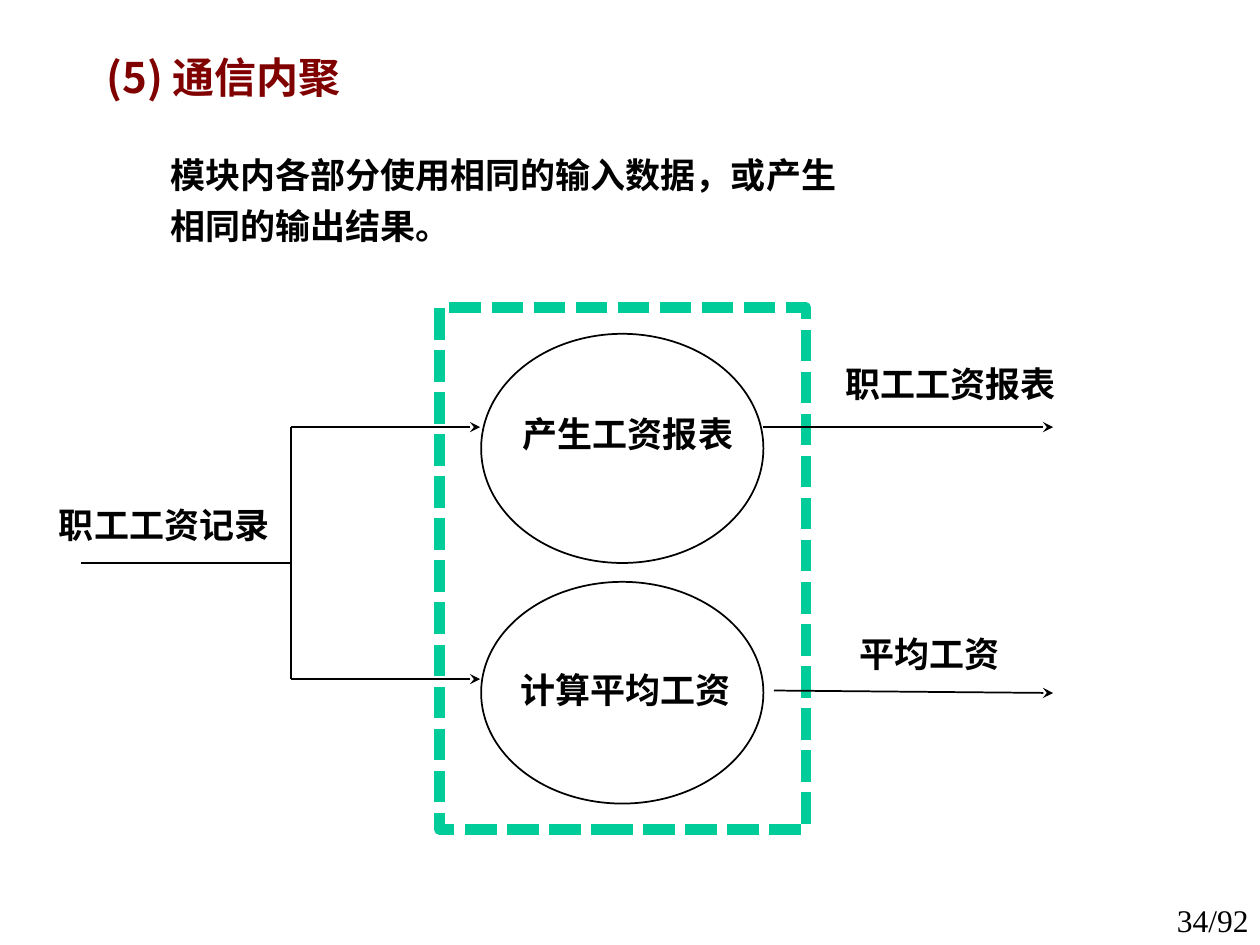
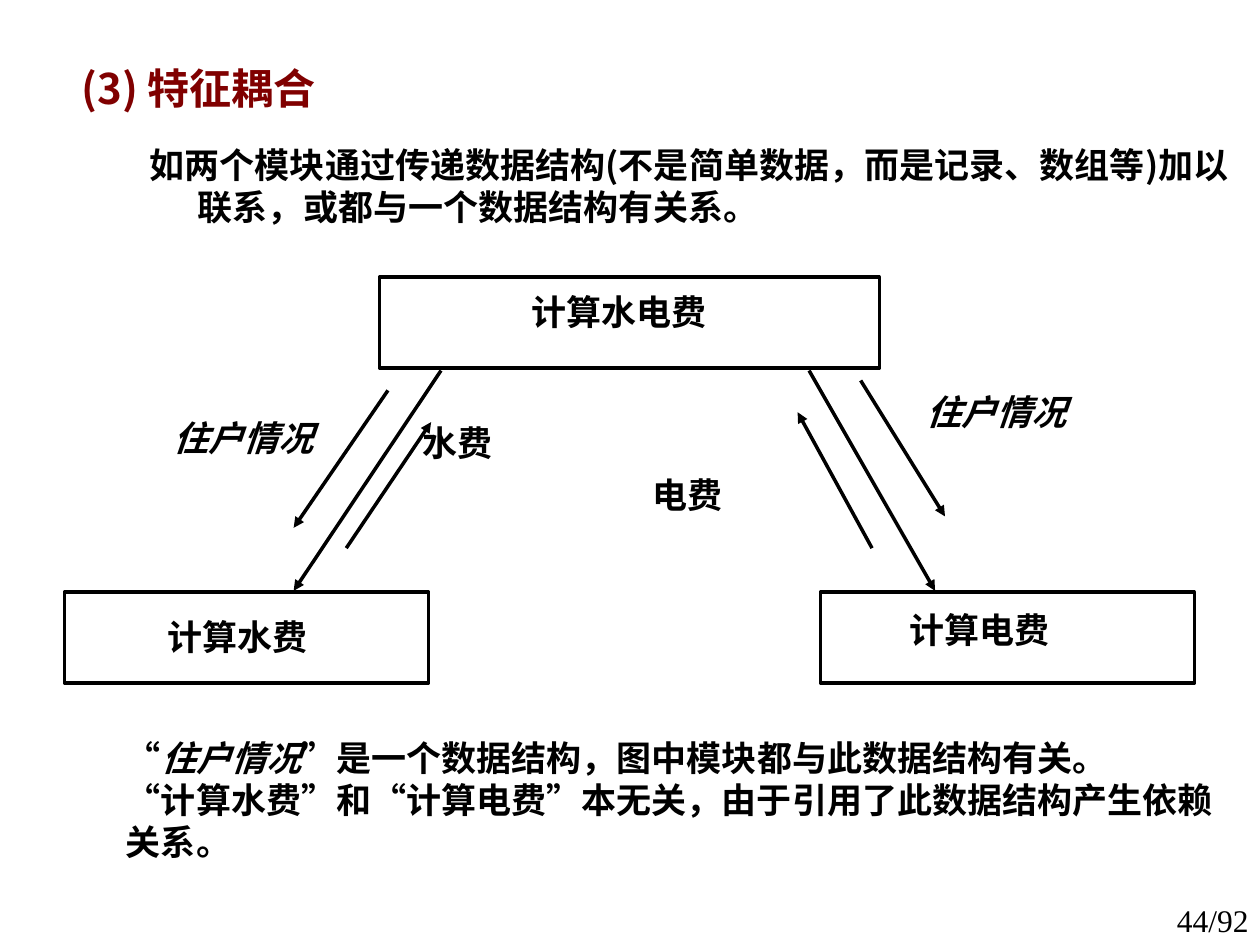
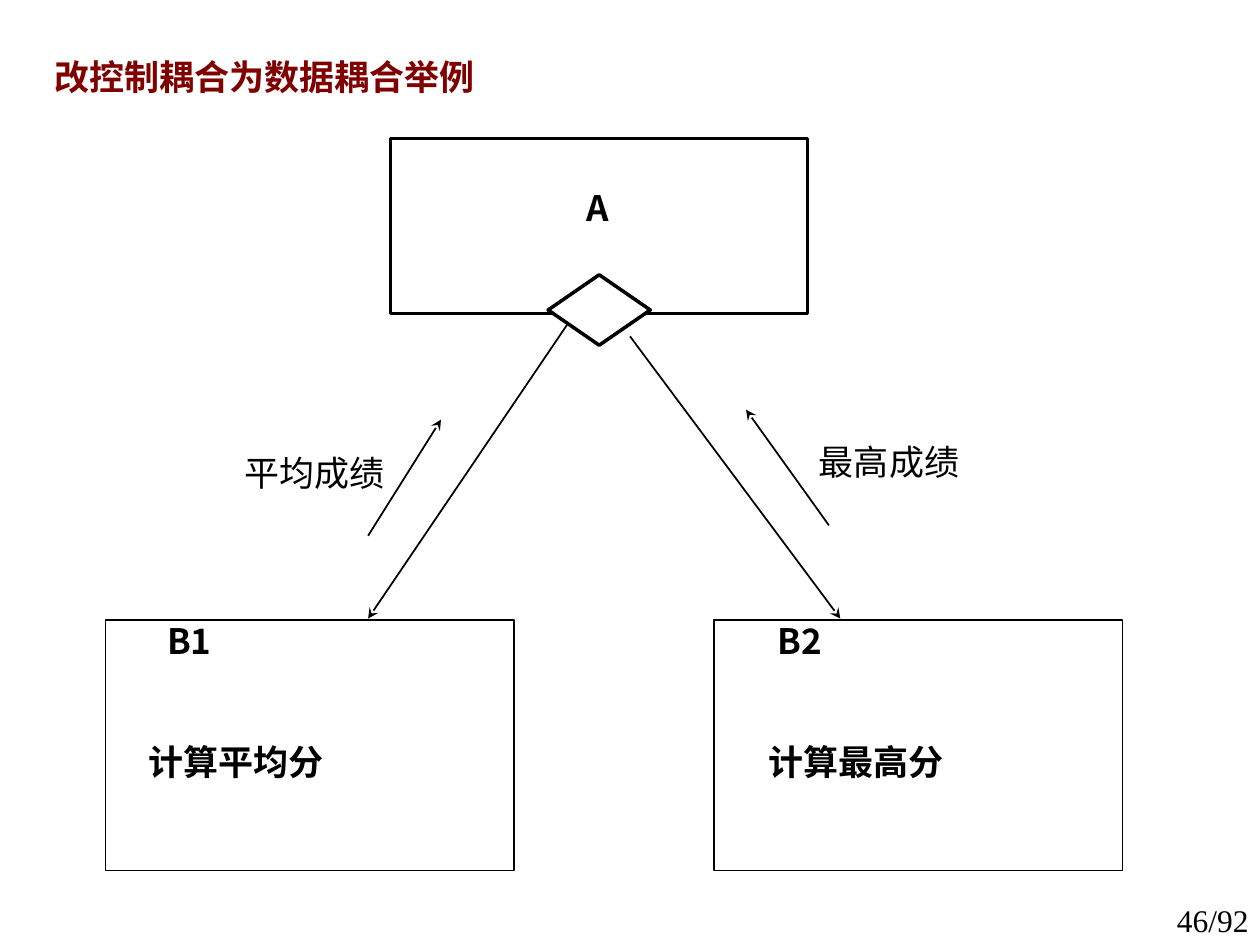
import pptx
import pptx.util
import pptx.dml.color
import pptx.enum.dml
import pptx.enum.shapes
import pptx.enum.text
from lxml import etree

Cm, Pt = pptx.util.Cm, pptx.util.Pt
KIND = pptx.enum.shapes.MSO_SHAPE
ALIGN = pptx.enum.text.PP_ALIGN
ANCHOR = pptx.enum.text.MSO_ANCHOR

# Shared look
INK = {"title": "800000", "text": "000000", "line": "000000",
       "fill": "FFFFFF", "frame": "00CC99"}
SANS, SERIF = "Noto Sans CJK SC", "Times New Roman"
SIZE = 20
LEAD = 1.2          # line height over text size
TALL = 1.09         # height of a label
HANG = 0.97
PAGE = (22.63, 18.03, 2.79, 1.78)
TOTAL = 92

# Content: places in cm; text is a list of paragraphs, each a list of
# (words, style) runs, where b is bold and i is italic
SLIDES = [
    {
        "page": 34,
        "title": ("(5) 通信内聚", 24, (1.9, 0.15, 17.15, 2.79)),
        "body": ((3.18, 2.97, 18.06, 2.62), [
            [("模块内各部分使用相同的输入数据，或产生", "b")],
            [("相同的输出结果。", "b")]]),
        "frame": (8.86, 6.2, 7.39, 10.52),
        "shapes": [
            (KIND.OVAL, 1, (9.7, 6.73, 5.69, 4.62)),
            (KIND.OVAL, 1, (9.7, 11.73, 5.69, 4.47))],
        "lines": (1, [
            (5.87, 8.61, 9.68, 8.61, "stealth"),
            (5.87, 13.69, 9.68, 13.69, "stealth"),
            (1.63, 11.35, 5.87, 11.35, None),
            (15.39, 8.61, 21.23, 8.61, "stealth"),
            (15.6, 13.92, 21.23, 13.97, "stealth"),
            (5.87, 8.61, 5.87, 13.69, None)]),
        "labels": [
            ("产生工资报表", "b", 10.29, 8.2, 4.9),
            ("计算平均工资", "b", 10.24, 13.36, 4.83),
            ("职工工资记录", "b", 0.94, 10.03, 5.11),
            ("职工工资报表", "b", 16.79, 7.19, 5.66),
            ("平均工资", "b", 17.07, 12.62, 4.62)],
    },
    {
        "page": 44,
        "title": ("(3) 特征耦合", 24, (1.4, 0.58, 25.2, 2.39)),
        "body": ((2.77, 2.77, 22.63, 2.18), [
            [("如两个模块通过传递数据结构(不是简单数据，而是记录、数组等)"
              "加以联系，或都与一个数据结构有关系。", "b")]]),
        "shapes": [
            (KIND.RECTANGLE, 2, (7.65, 5.59, 10.08, 1.83)),
            (KIND.RECTANGLE, 2, (1.3, 11.94, 7.34, 1.83)),
            (KIND.RECTANGLE, 2, (16.54, 11.94, 7.54, 1.83))],
        "lines": (2, [
            (8.89, 7.47, 5.92, 11.91, "triangle"),
            (16.31, 7.47, 18.85, 11.91, "triangle"),
            (7.82, 7.87, 5.92, 10.64, "triangle"),
            (6.98, 11.05, 8.69, 8.51, "triangle"),
            (17.35, 7.67, 19.05, 10.41, "triangle"),
            (17.58, 11.05, 16.08, 8.31, "triangle")]),
        "labels": [
            ("计算水电费", "b", 10.46, 5.74, 4.04),
            ("计算水费", "b", 3.12, 12.29, 3.35),
            ("计算电费", "b", 18.08, 12.14, 3.35),
            ("住户情况", "bi", 3.25, 8.28, 7.82),
            ("水费", "b", 8.26, 8.38, 4.45),
            ("电费", "b", 12.9, 9.42, 4.45),
            ("住户情况", "bi", 18.42, 7.75, 6.78)],
        "note": ((2.29, 14.73, 22.89, 2.79), [
            [("“", "b"), ("住户情况", "bi"),
             ("”是一个数据结构，图中模块都与此数据结构有关。", "b")],
            [("“计算水费”和“计算电费”本无关，"
              "由于引用了此数据结构产生依赖关系。", "b")]]),
    },
    {
        "page": 46,
        "title": ("改控制耦合为数据耦合举例", 20, (0.84, 0.15, 23.06, 2.79)),
        "shapes": [
            (KIND.RECTANGLE, 2, (7.87, 2.79, 8.41, 3.53)),
            (KIND.DIAMOND, 2, (11.05, 5.54, 2.06, 1.42)),
            (KIND.RECTANGLE, 1, (2.13, 12.5, 8.23, 5.05)),
            (KIND.RECTANGLE, 1, (14.4, 12.5, 8.23, 5.05))],
        "lines": (1, [
            (11.43, 6.55, 7.42, 12.47, "stealth"),
            (7.42, 10.8, 8.89, 8.46, "stealth"),
            (16.71, 10.59, 15.04, 8.26, "stealth"),
            (12.7, 6.78, 16.94, 12.47, "stealth")]),
        "labels": [
            ("A", "b", 11.58, 3.63, 0.94),
            ("计算平均分", "b", 2.74, 14.81, 7.82),
            ("B1", "b", 3.12, 12.37, 2.79),
            ("平均成绩", "", 4.67, 8.97, 3.35),
            ("最高成绩", "", 16.26, 8.76, 7.24),
            ("计算最高分", "b", 15.24, 14.81, 7.44),
            ("B2", "b", 15.42, 12.37, 2.79)],
    },
]


def tint(name):
    return pptx.dml.color.RGBColor.from_string(INK[name])


def tag(owner, name, **attrs):
    return etree.SubElement(owner, pptx.oxml.ns.qn("a:" + name), **attrs)


def add_text(slide, place, paras, size=SIZE, ink="text", face=SANS,
             wrap=True, hang=False, gap=0, align=ALIGN.LEFT,
             anchor=ANCHOR.TOP):
    frame = slide.shapes.add_textbox(*map(Cm, place)).text_frame
    frame.word_wrap = wrap
    frame.vertical_anchor = anchor
    for num, runs in enumerate(paras):
        para = frame.add_paragraph() if num else frame.paragraphs[0]
        para.alignment = align
        if face == SANS:
            para.line_spacing = Pt(size * LEAD)
        if num and gap:
            para.space_before = Pt(gap)
        if hang:
            props = para._p.get_or_add_pPr()
            props.set("marL", str(Cm(HANG)))
            props.set("indent", str(-Cm(HANG)))
        for words, style in runs:
            run = para.add_run()
            run.text = words
            font = run.font
            font.size, font.name = Pt(size), face
            font.bold, font.italic = "b" in style, "i" in style
            font.color.rgb = tint(ink)
            tag(run._r.get_or_add_rPr(), "ea", typeface=face)


def add_shape(slide, kind, width, place, ink="line", fill=True):
    shape = slide.shapes.add_shape(kind, *map(Cm, place))
    shape.shadow.inherit = False
    if fill:
        shape.fill.solid()
        shape.fill.fore_color.rgb = tint("fill")
    else:
        shape.fill.background()
    shape.line.color.rgb = tint(ink)
    shape.line.width = Pt(width)
    return shape


def add_line(slide, width, ends, head):
    line = slide.shapes.add_connector(
        pptx.enum.shapes.MSO_CONNECTOR.STRAIGHT, *map(Cm, ends))
    line.line.color.rgb = tint("line")
    line.line.width = Pt(width)
    if head:
        tag(line.line._get_or_add_ln(), "tailEnd", type=head)
    tag(line._element.spPr, "effectLst")


def build(deck, data):
    slide = deck.slides.add_slide(deck.slide_layouts[6])

    # Page number, title and body
    add_text(slide, PAGE, [[(f"{data['page']}/{TOTAL}", "")]], 18,
             face=SERIF, align=ALIGN.RIGHT)
    words, size, place = data["title"]
    add_text(slide, place, [[(words, "b")]], size, "title",
             anchor=ANCHOR.MIDDLE)
    if "body" in data:
        add_text(slide, *data["body"], hang=True, gap=5)

    # Diagram
    if "frame" in data:
        frame = add_shape(slide, KIND.RECTANGLE, 6, data["frame"],
                          "frame", False)
        frame.line.dash_style = pptx.enum.dml.MSO_LINE.SQUARE_DOT
    for item in data["shapes"]:
        add_shape(slide, *item)
    width, lines = data["lines"]
    for *ends, head in lines:
        add_line(slide, width, ends, head)

    # Labels wrap only where the words fit with room to spare
    for words, style, left, top, wide in data["labels"]:
        add_text(slide, (left, top, wide, TALL), [[(words, style)]],
                 wrap=wide - 0.5 > 0.72 * len(words))
    if "note" in data:
        add_text(slide, *data["note"])


def main():
    deck = pptx.Presentation()
    deck.slide_width, deck.slide_height = Cm(25.4), Cm(19.05)
    for data in SLIDES:
        build(deck, data)
    deck.save("out.pptx")


if __name__ == "__main__":
    main()
